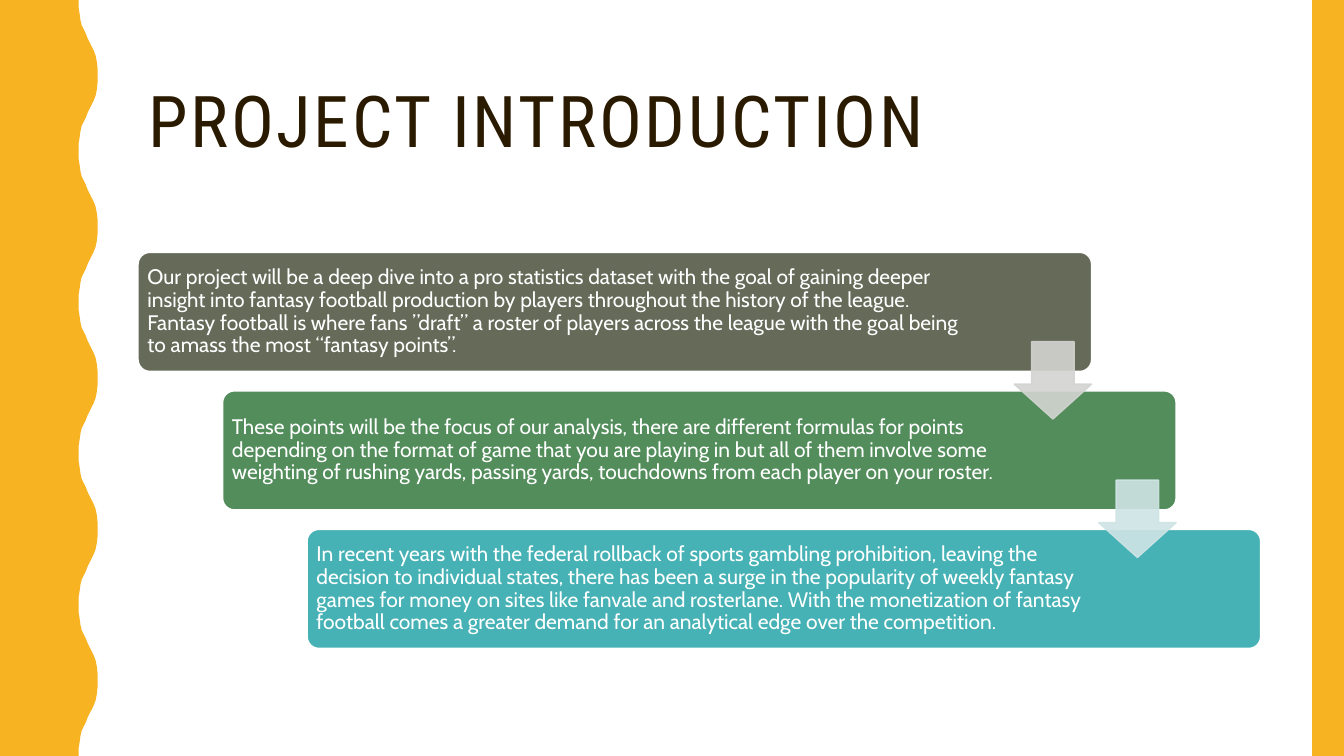
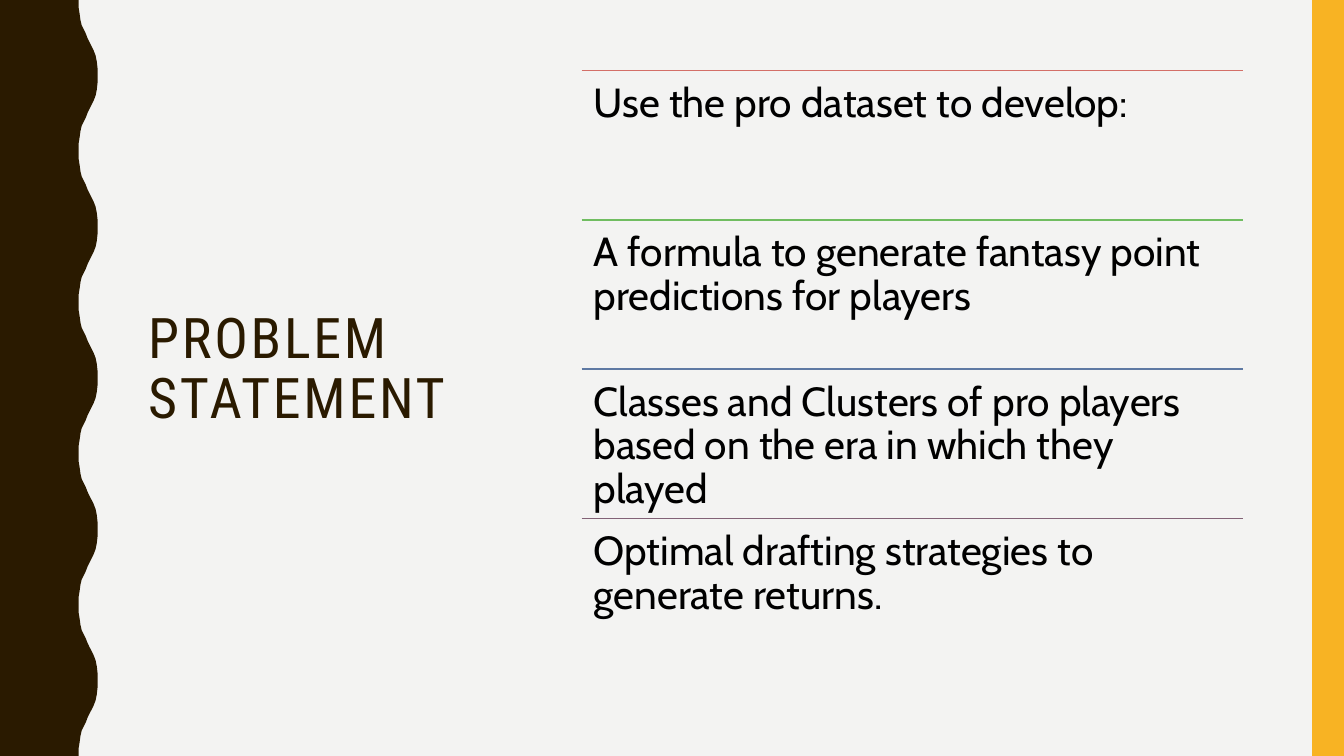
"""Build the two project slides: introduction steps and problem statement."""
import pptx
import pptx.util
import pptx.dml.color
import pptx.enum.shapes
import pptx.enum.text
import pptx.oxml.ns
import lxml.etree

Cm, Pt = pptx.util.Cm, pptx.util.Pt
SHAPE = pptx.enum.shapes.MSO_SHAPE
ANCHOR = pptx.enum.text.MSO_ANCHOR
qn = pptx.oxml.ns.qn

COLORS = {
    "white": "FFFFFF", "paper": "F3F3F2", "black": "000000",
    "brown": "2A1A00", "amber": "F8B323",
    "olive": "656A59", "green": "528D5B", "teal": "46B2B5",
    "pale olive": "D3D4D1", "pale teal": "CFE4E5",
    "red": "D36F68", "lime": "70BD61", "blue": "5E79A3", "plum": "826276",
}
TITLE_FONT, BODY_FONT = "Roboto Condensed", "Cabin"
SLIDE_W, SLIDE_H = 33.87, 19.05

STEPS = [
    ("olive", 3.2, "Our project will be a deep dive into a pro statistics dataset with the goal of "
     "gaining deeper insight into fantasy football production by players throughout the history "
     "of the league. Fantasy football is where fans ”draft” a roster of players across the league "
     "with the goal being to amass the most “fantasy points”."),
    ("green", 4.21, "These points will be the focus of our analysis, there are different formulas "
     "for points depending on the format of game that you are playing in but all of them involve "
     "some weighting of rushing yards, passing yards, touchdowns from each player on your roster."),
    ("teal", 4.21, "In recent years with the federal rollback of sports gambling prohibition, "
     "leaving the decision to individual states, there has been a surge in the popularity of "
     "weekly fantasy games for money on sites like fanvale and rosterlane. With the monetization "
     "of fantasy football comes a greater demand for an analytical edge over the competition."),
]
ARROWS = ["pale olive", "pale teal"]
GOALS = [
    ("red", "Use the pro dataset to develop:"),
    ("lime", "A formula to generate fantasy point predictions for players"),
    ("blue", "Classes and Clusters of pro players based on the era in which they played"),
    ("plum", "Optimal drafting strategies to generate returns."),
]

WAVE_PERIOD, WAVE_COUNT = 3.81, 5
HALF_WAVE = [
    (1.98, 0), (1.98, 0.18), (2.01, 0.36), (2.03, 0.51), (2.06, 0.64), (2.11, 0.74),
    (2.16, 0.84), (2.21, 0.97), (2.26, 1.07), (2.31, 1.17), (2.36, 1.27), (2.41, 1.4),
    (2.44, 1.55), (2.46, 1.73), (2.46, 1.9),
]


def rgb(name):
    return pptx.dml.color.RGBColor.from_string(COLORS[name])


def paint(sp, fill, line=None):
    sp.shadow.inherit = False
    sp.fill.solid()
    sp.fill.fore_color.rgb = rgb(fill)
    if line:
        sp.line.color.rgb = rgb(line)
        sp.line.width = Pt(1)
    else:
        sp.line.fill.background()


def write(sp, text, font, size, color, anchor, insets=None):
    tf = sp.text_frame
    tf.text = text
    tf.word_wrap = True
    tf.auto_size = pptx.enum.text.MSO_AUTO_SIZE.NONE
    tf.vertical_anchor = anchor
    if insets:
        tf.margin_left, tf.margin_top, tf.margin_right, tf.margin_bottom = map(Cm, insets)
    p = tf.paragraphs[0]
    p.alignment = pptx.enum.text.PP_ALIGN.LEFT
    p.line_spacing = 0.9
    r = p.runs[0]
    r.font.name, r.font.size = font, Pt(size)
    r.font.color.rgb = rgb(color)
    return r


def add_wave(s, color):
    wave = HALF_WAVE + [(x, WAVE_PERIOD - y) for x, y in HALF_WAVE[:0:-1]]
    edge = [(x, y + i * WAVE_PERIOD) for i in range(WAVE_COUNT) for x, y in wave]
    outline = edge + [(HALF_WAVE[0][0], SLIDE_H), (0, SLIDE_H)]
    fb = s.shapes.build_freeform(0, 0)
    fb.add_line_segments([(Cm(x), Cm(y)) for x, y in outline])
    paint(fb.convert_to_shape(), color)


def add_slide(prs, title, box, size, background, wave):
    s = prs.slides.add_slide(prs.slide_layouts[5])
    s.background.fill.solid()
    s.background.fill.fore_color.rgb = rgb(background)
    add_wave(s, wave)
    band = s.shapes.add_shape(SHAPE.RECTANGLE, Cm(33.07), 0, Cm(SLIDE_W - 33.07), Cm(SLIDE_H))
    paint(band, "amber")
    sp = s.shapes.title
    sp.left, sp.top, sp.width, sp.height = map(Cm, box)
    r = write(sp, title, TITLE_FONT, size, "brown", ANCHOR.MIDDLE)
    r.font._element.set("spc", "200")
    return s


def add_steps(s):
    left, top, dx, dy = 3.48, 6.36, 2.13, 3.49
    for i, (color, right_inset, text) in enumerate(STEPS):
        sp = s.shapes.add_shape(SHAPE.ROUNDED_RECTANGLE, Cm(left + i * dx), Cm(top + i * dy),
                                Cm(24.03), Cm(3))
        sp.adjustments[0] = 0.1
        paint(sp, color, "white")
        write(sp, text, BODY_FONT, 15, "white", ANCHOR.MIDDLE, (0.15, 0.15, right_inset, 0.15))
    for i, color in enumerate(ARROWS):
        sp = s.shapes.add_shape(SHAPE.DOWN_ARROW, Cm(25.56 + i * dx), Cm(8.61 + i * dy),
                                Cm(1.95), Cm(1.95))
        sp.adjustments[0], sp.adjustments[1] = 0.55, 0.45
        paint(sp, color, color)
        for clr in sp._element.spPr.iter(qn("a:srgbClr")):
            lxml.etree.SubElement(clr, qn("a:alpha")).set("val", "90000")


def add_goals(s):
    left, top, width, height = 14.66, 1.78, 16.66, 3.76
    for i, (color, text) in enumerate(GOALS):
        y = Cm(top + i * height)
        line = s.shapes.add_connector(pptx.enum.shapes.MSO_CONNECTOR.STRAIGHT,
                                      Cm(left), y, Cm(left + width), y)
        line.line.color.rgb = rgb(color)
        line.line.width = Pt(1)
        lxml.etree.SubElement(line._element.spPr, qn("a:effectLst"))
        sp = s.shapes.add_textbox(Cm(left), y, Cm(width), Cm(height))
        write(sp, text, BODY_FONT, 29, "black", ANCHOR.TOP, (0.3,) * 4)


def main():
    prs = pptx.Presentation()
    prs.slide_width, prs.slide_height = Cm(SLIDE_W), Cm(SLIDE_H)
    add_steps(add_slide(prs, "PROJECT INTRODUCTION", (3.48, 1.07, 28.27, 4.14), 51,
                        "white", "amber"))
    add_goals(add_slide(prs, "PROBLEM STATEMENT", (3.48, 1.8, 9.4, 15.06), 40,
                        "paper", "brown"))
    prs.save("out.pptx")


if __name__ == "__main__":
    main()
